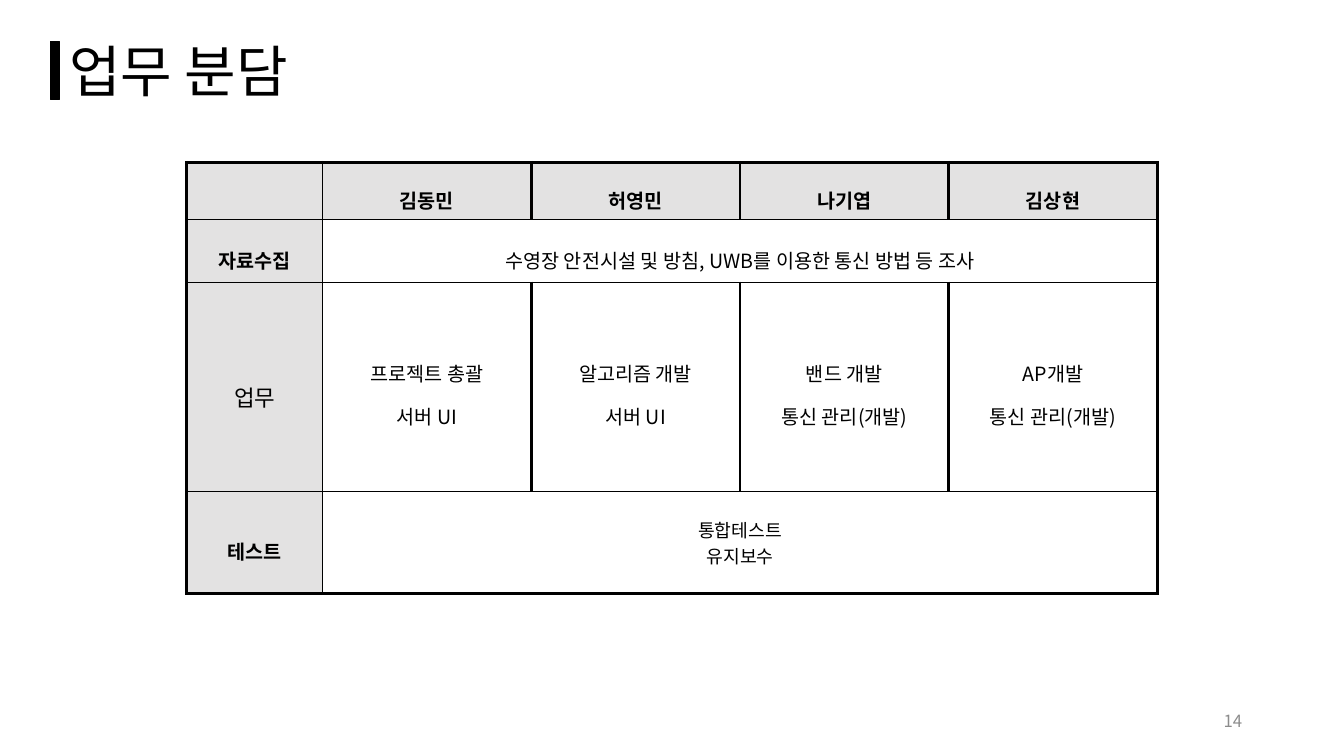
"""Builds the slide that shows how the project work is divided among the team."""
from lxml.etree import SubElement
from pptx import Presentation
from pptx.dml.color import RGBColor
from pptx.enum.shapes import MSO_SHAPE
from pptx.enum.text import MSO_ANCHOR, PP_ALIGN
from pptx.oxml import parse_xml
from pptx.oxml.ns import nsdecls, qn
from pptx.util import Inches, Pt

TITLE = "업무 분담"
PAGE_NUMBER = "14"
MEMBERS = ["김동민", "허영민", "나기엽", "김상현"]
SURVEY = "수영장 안전시설 및 방침, UWB를 이용한 통신 방법 등 조사"
DUTIES = [
    "프로젝트 총괄\n서버 UI",
    "알고리즘 개발\n서버 UI",
    "밴드 개발\n통신 관리(개발)",
    "AP개발\n통신 관리(개발)",
]
TESTING = "통합테스트\n유지보수"

THEME = {
    "font": "Noto Sans CJK KR",
    "ink": "000000",
    "page": "8C8C8C",
    "shade": "D0CECE",
    "shade_alpha": 59000,
    "title_size": 40,
    "page_size": 12,
    "thin": 1,
    "thick": 2.25,
}

ROWS = [
    {"label": "", "cells": MEMBERS, "height": 0.57, "size": 14, "spacing": 1.6,
     "bold": True, "shaded": True},
    {"label": "자료수집", "cells": [SURVEY], "height": 0.62, "size": 14, "spacing": 1.6},
    {"label": "업무", "cells": DUTIES, "height": 2.08, "size": 14, "spacing": 1.5,
     "label_size": 16, "label_bold": False},
    {"label": "테스트", "cells": [TESTING], "height": 1.01, "size": 13, "spacing": 1},
]
LABEL_WIDTH, MEMBER_WIDTH = 1.35, 2.07


def write(frame, text, size, color="ink", bold=False, align=PP_ALIGN.LEFT, spacing=1):
    frame.text = text
    for paragraph in frame.paragraphs:
        paragraph.alignment = align
        paragraph.line_spacing = spacing
        font = paragraph.font
        font.size, font.bold, font.name = Pt(size), bold, THEME["font"]
        font.color.rgb = RGBColor.from_string(THEME[color])
        properties = paragraph._p.pPr.find(qn("a:defRPr"))
        SubElement(properties, qn("a:ea")).set("typeface", THEME["font"])


def add_text(slide, box, text, size, anchor=MSO_ANCHOR.TOP, **style):
    frame = slide.shapes.add_textbox(*map(Inches, box)).text_frame
    frame.word_wrap = True
    frame.vertical_anchor = anchor
    write(frame, text, size, **style)


def fill_cell(cell, shaded):
    if not shaded:
        cell.fill.background()
        return
    cell.fill.solid()
    cell.fill.fore_color.rgb = RGBColor.from_string(THEME["shade"])
    color = cell._tc.tcPr.find(".//" + qn("a:srgbClr"))
    SubElement(color, qn("a:alpha")).set("val", str(THEME["shade_alpha"]))


def border_cell(cell, left, right, top, bottom):
    sides = {"lnL": left, "lnR": right, "lnT": top, "lnB": bottom}
    for position, (side, weight) in enumerate(sides.items()):
        line = parse_xml(
            f'<a:{side} {nsdecls("a")} w="{Pt(THEME[weight])}"><a:solidFill>'
            f'<a:srgbClr val="{THEME["ink"]}"/></a:solidFill></a:{side}>')
        cell._tc.tcPr.insert(position, line)


def add_duty_table(slide):
    widths = [LABEL_WIDTH] + [MEMBER_WIDTH] * len(MEMBERS)
    heights = [row["height"] for row in ROWS]
    box = (1.85, 1.61, sum(widths), sum(heights))
    table = slide.shapes.add_table(len(ROWS), len(widths), *map(Inches, box)).table
    table.first_row = table.horz_banding = False
    for column, width in zip(table.columns, widths):
        column.width = Inches(width)
    last_row, last_column = len(ROWS) - 1, len(MEMBERS)
    for r, row in enumerate(ROWS):
        table.rows[r].height = Inches(row["height"])
        if len(row["cells"]) == 1:
            table.cell(r, 1).merge(table.cell(r, last_column))
        for c, text in enumerate([row["label"]] + row["cells"]):
            cell = table.cell(r, c)
            cell.vertical_anchor = MSO_ANCHOR.MIDDLE
            is_label = c == 0
            fill_cell(cell, is_label or row.get("shaded", False))
            border_cell(cell,
                        left="thin" if c == 1 else "thick",
                        right="thin" if is_label else "thick",
                        top="thick" if r == 0 else "thin",
                        bottom="thick" if r == last_row else "thin")
            if is_label:
                size, bold, spacing = row.get("label_size", 14), row.get("label_bold", True), 1.6
            else:
                size, bold, spacing = row["size"], row.get("bold", False), row["spacing"]
            write(cell.text_frame, text, size, bold=bold, align=PP_ALIGN.CENTER, spacing=spacing)


def add_title_bar(slide):
    bar = slide.shapes.add_shape(MSO_SHAPE.RECTANGLE, *map(Inches, (0.5, 0.41, 0.09, 0.58)))
    bar.shadow.inherit = False
    ink = RGBColor.from_string(THEME["ink"])
    bar.fill.solid()
    bar.fill.fore_color.rgb = ink
    bar.line.color.rgb = ink
    bar.line.width = Pt(THEME["thin"])


def main():
    deck = Presentation()
    deck.slide_width, deck.slide_height = Inches(13.33), Inches(7.5)
    slide = deck.slides.add_slide(deck.slide_layouts[6])
    add_text(slide, (0.59, 0.31, 4.56, 0.77), TITLE, THEME["title_size"])
    add_title_bar(slide)
    add_duty_table(slide)
    add_text(slide, (9.42, 6.95, 3, 0.4), PAGE_NUMBER, THEME["page_size"],
             anchor=MSO_ANCHOR.MIDDLE, color="page", align=PP_ALIGN.RIGHT)
    deck.save("out.pptx")


if __name__ == "__main__":
    main()
